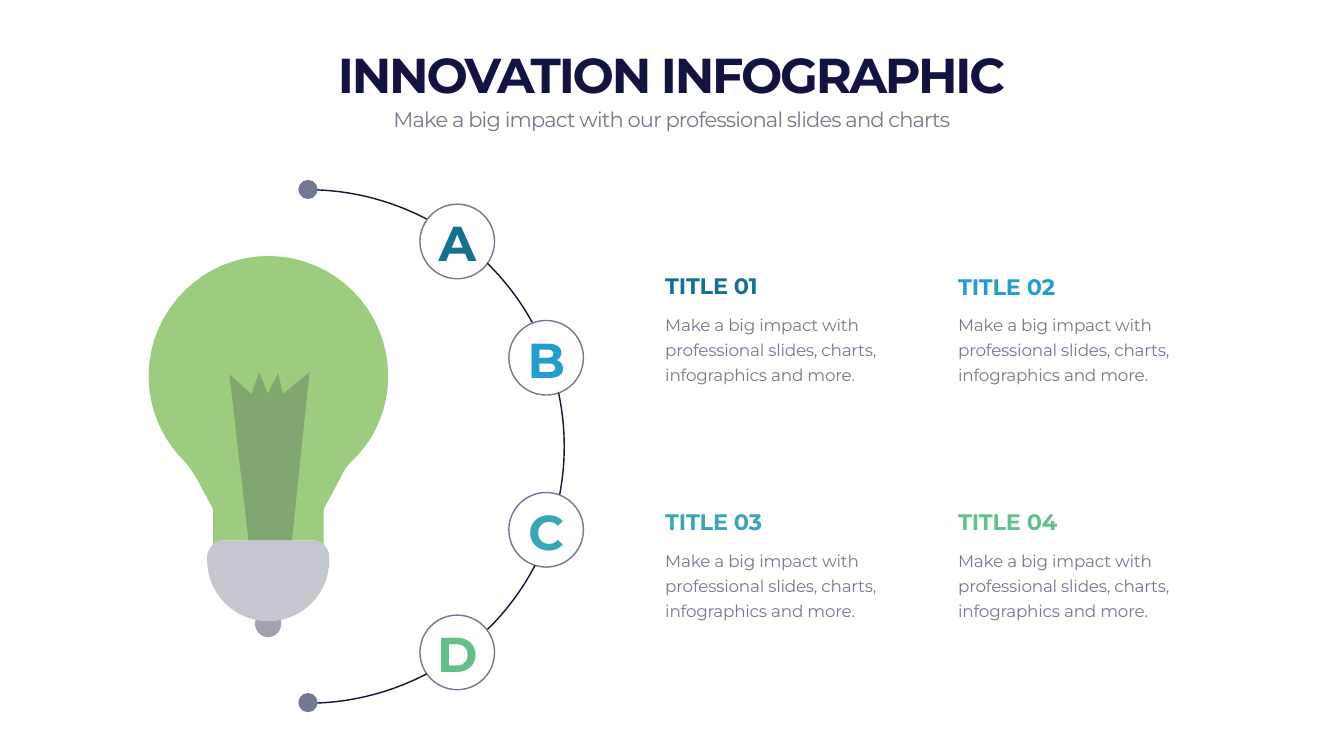
import math

import pptx
import pptx.dml.color
import pptx.enum.shapes
import pptx.enum.text
import pptx.util
from lxml import etree
from pptx.oxml.ns import qn

Cm = pptx.util.Cm
RGB = pptx.dml.color.RGBColor
ALIGN = pptx.enum.text.PP_ALIGN
ANCHOR = pptx.enum.text.MSO_ANCHOR

NAVY = RGB(0x11, 0x13, 0x40)
SLATE = RGB(0x74, 0x79, 0x93)
TEAL = RGB(0x14, 0x71, 0x8E)
BLUE = RGB(0x22, 0x9D, 0xCC)
AQUA = RGB(0x38, 0xA6, 0xB6)
MINT = RGB(0x63, 0xC0, 0x8A)
GLASS = RGB(0x9C, 0xCC, 0x7D)
METAL = RGB(0xC3, 0xC8, 0xCE)

FONT = "Montserrat"
BODY_TEXT = ("Make a big impact with professional slides, charts, "
             "infographics and more.")

# Lengths below are centimetres.
ARC_CENTRE = (15.49, 22.5)
ARC_RADIUS = 12.94
RING_DIAMETER = 3.76
DOT_DIAMETER = 0.97
LETTERS = [
    ("A", TEAL, 23.04, 12.17),
    ("B", BLUE, 27.52, 18.03),
    ("C", AQUA, 27.52, 26.7),
    ("D", MINT, 23.04, 32.88),
]
TOPICS = [
    ("TITLE 01", TEAL, 33.27, 13.54, 15.47),
    ("TITLE 02", BLUE, 48.03, 13.59, 15.47),
    ("TITLE 03", AQUA, 33.27, 25.48, 27.36),
    ("TITLE 04", MINT, 48.03, 25.48, 27.36),
]

# Outlines: a start point, then lines (x, y) and Bezier curves (six values).
TIP = [
    (13.49, 31.29),
    (13.28, 31.29, 13.08, 31.27, 12.88, 31.24),
    (12.88, 31.29, 12.85, 31.37, 12.85, 31.42),
    (12.85, 31.8, 13.16, 32.11, 13.51, 32.11),
    (13.87, 32.11, 14.17, 31.8, 14.17, 31.42),
    (14.17, 31.37, 14.17, 31.29, 14.15, 31.24),
    (13.95, 31.27, 13.75, 31.29, 13.54, 31.29),
]
BULB = [
    (13.56, 12.9),
    (10.24, 12.88, 7.49, 15.62, 7.49, 18.95),
    (7.49, 20.57, 8.15, 22.07, 9.19, 23.14),
    (9.5, 23.47, 9.75, 23.83, 9.96, 24.21),
    (10.67, 25.53),
    (10.72, 25.6, 10.74, 25.7, 10.74, 25.81),
    (10.74, 27.43),
    (10.9, 27.3, 11.07, 27.23, 11.3, 27.23),
    (15.75, 27.23),
    (15.95, 27.23, 16.15, 27.3, 16.31, 27.43),
    (16.31, 25.81),
    (16.31, 25.7, 16.33, 25.6, 16.38, 25.53),
    (17.25, 23.9),
    (17.35, 23.67, 17.5, 23.47, 17.68, 23.29),
    (18.85, 22.2, 19.56, 20.65, 19.56, 18.95),
    (19.56, 15.62, 16.87, 12.93, 13.56, 12.9),
]
BASE = [
    (16.31, 27.43),
    (16.15, 27.3, 15.98, 27.23, 15.75, 27.23),
    (11.3, 27.23),
    (11.07, 27.23, 10.9, 27.3, 10.74, 27.43),
    (10.57, 27.61, 10.44, 27.84, 10.44, 28.07),
    (10.44, 28.24),
    (10.44, 29.72, 11.51, 30.96, 12.9, 31.24),
    (13.08, 31.27, 13.28, 31.29, 13.49, 31.29),
    (13.56, 31.29),
    (13.77, 31.29, 13.95, 31.27, 14.15, 31.24),
    (15.54, 30.96, 16.59, 29.72, 16.59, 28.24),
    (16.59, 28.07),
    (16.59, 27.84, 16.48, 27.61, 16.31, 27.43),
]
FILAMENT = [
    (12.52, 27.23), (11.56, 18.87), (12.67, 19.86), (13.06, 18.75),
    (13.49, 19.84), (14.02, 18.8), (14.25, 19.86), (15.6, 18.75),
    (14.71, 27.23),
]


def write_text(box, text, size, color, spacing, bold=False,
               anchor=ANCHOR.TOP, align=ALIGN.LEFT, line_height=None):
    """Fill a box with one run; spacing is letter spacing in points."""
    frame = box.text_frame
    frame.text = text
    paragraph = frame.paragraphs[0]
    run = paragraph.runs[0]
    formats = {
        frame: {"word_wrap": True, "vertical_anchor": anchor,
                "auto_size": pptx.enum.text.MSO_AUTO_SIZE.SHAPE_TO_FIT_TEXT},
        paragraph: {"alignment": align, "line_spacing": line_height},
        run.font: {"name": FONT, "size": pptx.util.Pt(size), "bold": bold},
    }
    for target, values in formats.items():
        for name, value in values.items():
            setattr(target, name, value)
    run.font.color.rgb = color
    run._r.get_or_add_rPr().set("spc", str(round(spacing * 100)))


def add_text(slide, left, top, width, height, text, **style):
    box = slide.shapes.add_textbox(Cm(left), Cm(top), Cm(width), Cm(height))
    write_text(box, text, **style)


def flatten(outline, steps=16):
    """Turn lines and Bezier curves into a list of points."""
    points = [outline[0]]
    for segment in outline[1:]:
        if len(segment) == 2:
            points.append(segment)
            continue
        corners = [points[-1], segment[:2], segment[2:4], segment[4:]]
        for step in range(1, steps + 1):
            t = step / steps
            weights = [math.comb(3, i) * t**i * (1 - t)**(3 - i)
                       for i in range(4)]
            points.append(tuple(sum(w * c[axis] for w, c in zip(weights, corners))
                                for axis in (0, 1)))
    return points


def add_path(slide, points, closed):
    (start_x, start_y), *others = [(Cm(x), Cm(y)) for x, y in points]
    builder = slide.shapes.build_freeform(start_x, start_y)
    builder.add_line_segments(others, close=closed)
    path_shape = builder.convert_to_shape()
    path_shape.shadow.inherit = False
    return path_shape


def add_outline(slide, outline, color, opacity=None):
    part = add_path(slide, flatten(outline), closed=True)
    part.fill.solid()
    part.fill.fore_color.rgb = color
    part.line.fill.background()
    if opacity is not None:
        srgb = part.fill._xPr.find(".//" + qn("a:srgbClr"))
        etree.SubElement(srgb, qn("a:alpha")).set("val", str(opacity * 1000))


def set_line(shape, color):
    shape.fill.background()
    shape.line.color.rgb = color
    shape.line.width = pptx.util.Pt(2)


def add_arc(slide, start, end, steps=24):
    """Draw the part of the large arc between two angles in radians."""
    angles = [start + (end - start) * i / steps for i in range(steps + 1)]
    points = [(ARC_CENTRE[0] + ARC_RADIUS * math.cos(a),
               ARC_CENTRE[1] + ARC_RADIUS * math.sin(a)) for a in angles]
    set_line(add_path(slide, points, closed=False), NAVY)


def add_circle(slide, x, y, diameter):
    circle = slide.shapes.add_shape(
        pptx.enum.shapes.MSO_SHAPE.OVAL, Cm(x - diameter / 2),
        Cm(y - diameter / 2), Cm(diameter), Cm(diameter))
    circle.shadow.inherit = False
    return circle


def add_lightbulb(slide):
    add_outline(slide, TIP, METAL)
    add_outline(slide, TIP, NAVY, opacity=20)
    add_outline(slide, BULB, GLASS)
    add_outline(slide, BASE, METAL)
    add_outline(slide, FILAMENT, NAVY, opacity=20)


def add_letter_arc(slide):
    half_gap = 2 * math.asin(RING_DIAMETER / 4 / ARC_RADIUS)
    start = -math.pi / 2
    for letter, color, x, y in LETTERS:
        middle = math.atan2(y - ARC_CENTRE[1], x - ARC_CENTRE[0])
        add_arc(slide, start, middle - half_gap)
        start = middle + half_gap
        set_line(add_circle(slide, x, y, RING_DIAMETER), SLATE)
        add_text(slide, x - 1.53, y - 1.6, 3.07, 3.25, letter, size=70,
                 color=color, spacing=-0.3, bold=True,
                 anchor=ANCHOR.BOTTOM, align=ALIGN.CENTER)
    add_arc(slide, start, math.pi / 2)
    for y in (9.55, 35.41):
        dot = add_circle(slide, 15.52, y, DOT_DIAMETER)
        dot.fill.solid()
        dot.fill.fore_color.rgb = SLATE
        dot.line.fill.background()


def add_heading(slide):
    title = slide.shapes.title
    place = {"left": 4.22, "top": 2.08, "width": 59.26, "height": 3.25}
    for name, value in place.items():
        setattr(title, name, Cm(value))
    write_text(title, "INNOVATION INFOGRAPHIC", size=70, color=NAVY,
               spacing=-3.1, bold=True, anchor=ANCHOR.BOTTOM,
               align=ALIGN.CENTER)
    add_text(slide, 4.22, 5.23, 59.26, 1.55,
             "Make a big impact with our professional slides and charts",
             size=30, color=SLATE, spacing=-1.2, align=ALIGN.CENTER)


def main():
    deck = pptx.Presentation()
    deck.slide_width, deck.slide_height = Cm(67.72), Cm(38.1)
    slide = deck.slides.add_slide(deck.slide_layouts[5])
    add_heading(slide)
    for heading, color, left, heading_top, body_top in TOPICS:
        add_text(slide, left, heading_top, 12.17, 1.63, heading, size=32,
                 color=color, spacing=-0.3, bold=True, anchor=ANCHOR.BOTTOM)
        add_text(slide, left, body_top, 12.17, 3.99, BODY_TEXT, size=24,
                 color=SLATE, spacing=-0.3, line_height=pptx.util.Pt(36))
    add_lightbulb(slide)
    add_letter_arc(slide)
    deck.save("out.pptx")


if __name__ == "__main__":
    main()
